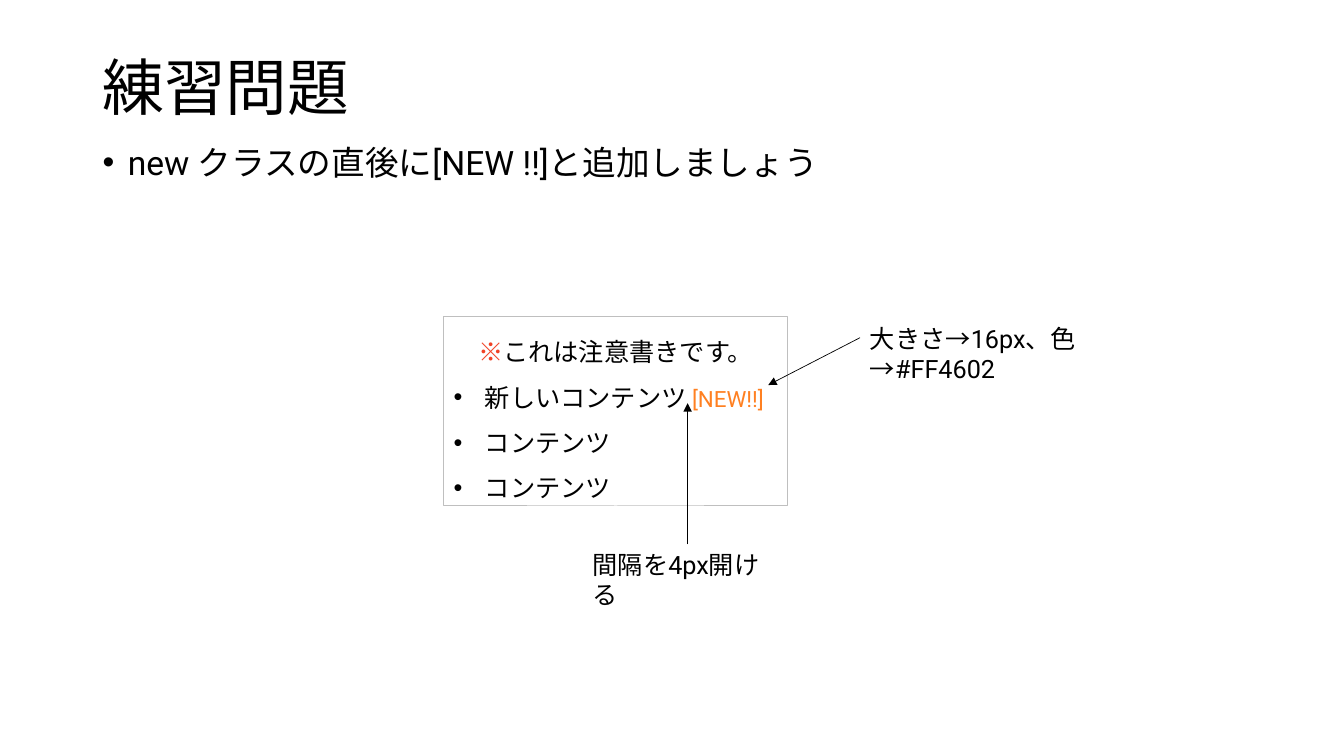
import pptx
import pptx.dml.color
import pptx.enum.lang
import pptx.enum.shapes
import pptx.enum.text
import pptx.oxml
import pptx.oxml.ns
import pptx.util
from pptx.util import Inches

BLACK = pptx.dml.color.RGBColor(0x00, 0x00, 0x00)
GRAY = pptx.dml.color.RGBColor(0xBF, 0xBF, 0xBF)
RED = pptx.dml.color.RGBColor(0xF1, 0x41, 0x24)
ORANGE = pptx.dml.color.RGBColor(0xFF, 0x80, 0x21)
FONT = "Roboto"

TITLE = [("練習問題", 44, BLACK)]
TASK = [("new クラスの直後に[NEW !!]と追加しましょう", 24, BLACK)]
NOTICE = [("※", 18, RED), ("これは注意書きです。", 18, BLACK)]
ITEMS = [
    [("新しいコンテンツ ", 18, BLACK), ("[NEW!!]", 16, ORANGE)],
    [("コンテンツ", 18, BLACK)],
    [("コンテンツ", 18, BLACK)],
]
LABELS = [
    ("大きさ→16px、色→#FF4602", (8.53, 3.16, 3.28, 0.4)),
    ("間隔を4px開ける", (5.78, 5.4, 2.08, 0.4)),
]
ARROWS = [
    ((6.82, 5.4), (6.82, 4)),
    ((8.53, 3.35), (7.62, 3.82)),
]


def add_element(parent, tag, **attributes):
    element = pptx.oxml.parse_xml(f"<a:{tag} {pptx.oxml.ns.nsdecls('a')}/>")
    for name, value in attributes.items():
        element.set(name, str(value))
    parent.append(element)


def write(paragraph, runs, spacing=1.0, indent=None):
    if indent:
        properties = paragraph._p.get_or_add_pPr()
        properties.set("marL", str(Inches(indent)))
        properties.set("indent", str(-Inches(indent)))
        add_element(properties, "buFont", typeface="Arial")
        add_element(properties, "buChar", char="•")
    paragraph.line_spacing = spacing
    for text, size, color in runs:
        run = paragraph.add_run()
        run.text = text
        run.font.name = FONT
        run.font.size = pptx.util.Pt(size)
        run.font.color.rgb = color
        run.font.language_id = pptx.enum.lang.MSO_LANGUAGE_ID.JAPANESE


def add_text(slide, box, runs, spacing=1.0, indent=None):
    shape = slide.shapes.add_textbox(*map(Inches, box))
    shape.text_frame.word_wrap = True
    write(shape.text_frame.paragraphs[0], runs, spacing, indent)
    return shape


def add_notice_box(slide):
    shape = slide.shapes.add_shape(
        pptx.enum.shapes.MSO_SHAPE.RECTANGLE,
        Inches(4.4), Inches(3.14), Inches(3.41), Inches(1.88))
    shape.shadow.inherit = False
    shape.fill.background()
    shape.line.color.rgb = GRAY
    shape.line.width = pptx.util.Pt(0.75)
    frame = shape.text_frame
    frame.word_wrap = True
    frame.vertical_anchor = pptx.enum.text.MSO_ANCHOR.TOP
    heading = frame.paragraphs[0]
    heading.alignment = pptx.enum.text.PP_ALIGN.CENTER
    write(heading, NOTICE, 1.5)
    for item in ITEMS:
        paragraph = frame.add_paragraph()
        paragraph.alignment = pptx.enum.text.PP_ALIGN.LEFT
        write(paragraph, item, 1.5, 0.31)


def add_arrow(slide, start, end):
    arrow = slide.shapes.add_connector(
        pptx.enum.shapes.MSO_CONNECTOR.STRAIGHT, *map(Inches, start + end))
    arrow.line.color.rgb = BLACK
    arrow.line.width = pptx.util.Pt(0.5)
    add_element(arrow.line._get_or_add_ln(), "tailEnd", type="triangle")
    add_element(arrow._element.spPr, "effectLst")


def main():
    presentation = pptx.Presentation()
    presentation.slide_width = Inches(13.33)
    presentation.slide_height = Inches(7.5)
    slide = presentation.slides.add_slide(presentation.slide_layouts[6])

    title = add_text(slide, (0.92, 0.4, 11.5, 1), TITLE, 0.9)
    title.text_frame.vertical_anchor = pptx.enum.text.MSO_ANCHOR.MIDDLE
    add_text(slide, (0.92, 1.4, 11.5, 5.35), TASK, 0.9, 0.25)
    add_notice_box(slide)
    for text, box in LABELS:
        add_text(slide, box, [(text, 18, BLACK)])
    for start, end in ARROWS:
        add_arrow(slide, start, end)

    presentation.save("out.pptx")


if __name__ == "__main__":
    main()
